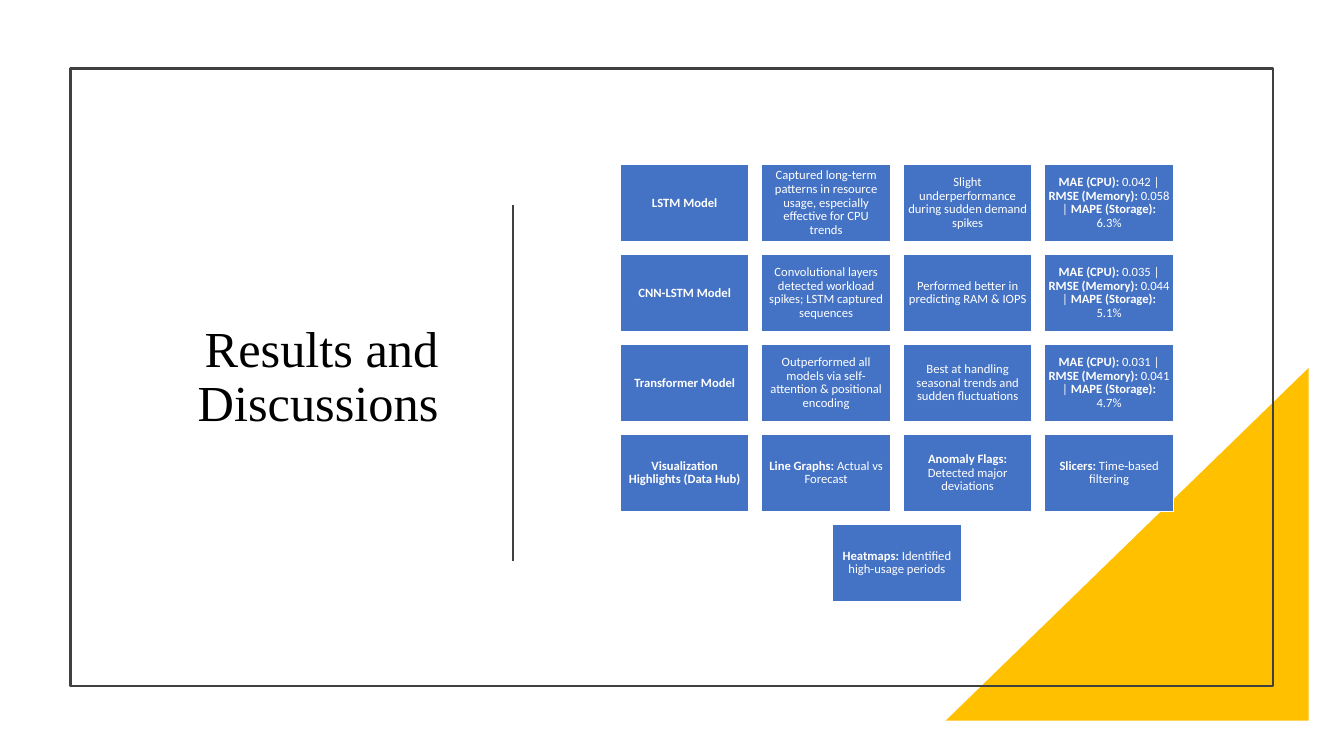
from lxml import etree
from pptx import Presentation
from pptx.dml.color import RGBColor
from pptx.enum.shapes import MSO_CONNECTOR, MSO_SHAPE
from pptx.enum.text import MSO_ANCHOR, MSO_AUTO_SIZE, PP_ALIGN
from pptx.oxml.ns import qn
from pptx.util import Inches, Pt

RECTANGLE = MSO_SHAPE.RECTANGLE
RIGHT_TRIANGLE = MSO_SHAPE.RIGHT_TRIANGLE
STRAIGHT = MSO_CONNECTOR.STRAIGHT
MIDDLE = MSO_ANCHOR.MIDDLE
CENTER = PP_ALIGN.CENTER
RIGHT = PP_ALIGN.RIGHT
NO_FIT = MSO_AUTO_SIZE.NONE

BLUE, GOLD, GRAY, WHITE, BLACK = "4472C4", "FFC000", "404040", "FFFFFF", "000000"

CARD_WIDTH, CARD_HEIGHT = 1.28, 0.77
FIRST_LEFT, LAST_LEFT = 6.15, 10.36
FIRST_TOP, LAST_TOP = 1.63, 5.2
COLUMNS = 4

METRICS = "**MAE (CPU):** {} | **RMSE (Memory):** {} | **MAPE (Storage):** {}"
CARD_ROWS = [
    ["**LSTM Model**",
     "Captured long-term patterns in resource usage, especially effective for CPU trends",
     "Slight underperformance during sudden demand spikes",
     METRICS.format("0.042", "0.058", "6.3%")],
    ["**CNN-LSTM Model**",
     "Convolutional layers detected workload spikes; LSTM captured sequences",
     "Performed better in predicting RAM & IOPS",
     METRICS.format("0.035", "0.044", "5.1%")],
    ["**Transformer Model**",
     "Outperformed all models via self-attention & positional encoding",
     "Best at handling seasonal trends and sudden fluctuations",
     METRICS.format("0.031", "0.041", "4.7%")],
    ["**Visualization Highlights (Data Hub)**",
     "**Line Graphs:** Actual vs Forecast",
     "**Anomaly Flags:** Detected major deviations",
     "**Slicers:** Time-based filtering"],
    ["**Heatmaps:** Identified high-usage periods"],
]


def color(value):
    return RGBColor.from_string(value)


def set_attributes(target, values):
    for name, value in values.items():
        setattr(target, name, value)


def set_line(line, value, width):
    line.color.rgb = color(value)
    line.width = Pt(width)


def add_box(slide, kind, left, top, width, height, fill=None, line=None, line_width=1):
    shape = slide.shapes.add_shape(
        kind, Inches(left), Inches(top), Inches(width), Inches(height))
    shape.shadow.inherit = False
    if fill:
        shape.fill.solid()
        shape.fill.fore_color.rgb = color(fill)
    else:
        shape.fill.background()
    if line:
        set_line(shape.line, line, line_width)
    else:
        shape.line.fill.background()
    return shape


def add_runs(paragraph, text, font_values, font_color):
    for index, part in enumerate(text.split("**")):
        if part:
            run = paragraph.add_run()
            run.text = part
            set_attributes(run.font, {**font_values, "bold": index % 2 == 1})
            run.font.color.rgb = color(font_color)


def add_card(slide, left, top, text):
    card = add_box(slide, RECTANGLE, left, top, CARD_WIDTH, CARD_HEIGHT, BLUE, WHITE)
    margin = Inches(0.04)
    set_attributes(card.text_frame, {
        "word_wrap": True, "vertical_anchor": MIDDLE,
        "margin_left": margin, "margin_right": margin,
        "margin_top": margin, "margin_bottom": margin})
    paragraph = card.text_frame.paragraphs[0]
    set_attributes(paragraph, {"alignment": CENTER, "line_spacing": 0.9})
    add_runs(paragraph, text, {"name": "Calibri", "size": Pt(9)}, WHITE)


def add_card_grid(slide):
    column_step = (LAST_LEFT - FIRST_LEFT) / (COLUMNS - 1)
    row_step = (LAST_TOP - FIRST_TOP) / (len(CARD_ROWS) - 1)
    for row, texts in enumerate(CARD_ROWS):
        row_left = FIRST_LEFT + (COLUMNS - len(texts)) / 2 * column_step
        for column, text in enumerate(texts):
            add_card(slide, row_left + column * column_step,
                     FIRST_TOP + row * row_step, text)


def add_divider(slide, x, top, bottom):
    divider = slide.shapes.add_connector(
        STRAIGHT, Inches(x), Inches(top), Inches(x), Inches(bottom))
    set_line(divider.line, GRAY, 1.5)
    etree.SubElement(divider._element.spPr, qn("a:effectLst"))


def format_title(slide, text):
    title = slide.shapes.title
    set_attributes(title, {"left": Inches(1.18), "top": Inches(1.3),
                           "width": Inches(3.27), "height": Inches(4.9)})
    set_attributes(title.text_frame, {
        "word_wrap": True, "auto_size": NO_FIT, "vertical_anchor": MIDDLE})
    paragraph = title.text_frame.paragraphs[0]
    set_attributes(paragraph, {"alignment": RIGHT, "line_spacing": 0.9})
    add_runs(paragraph, text, {"name": "Times New Roman", "size": Pt(36)}, BLACK)


def main():
    presentation = Presentation()
    presentation.slide_width = Inches(13.33)
    presentation.slide_height = Inches(7.5)
    slide = presentation.slides.add_slide(presentation.slide_layouts[5])

    corner = add_box(slide, RIGHT_TRIANGLE, 9.38, 3.65, 3.6, 3.5, fill=GOLD)
    corner._element.spPr.xfrm.set("flipH", "1")
    add_box(slide, RECTANGLE, 0.7, 0.68, 11.93, 6.13, line=GRAY, line_width=1.5)
    format_title(slide, "Results and Discussions")
    add_divider(slide, 5.09, 2.03, 5.57)
    add_card_grid(slide)

    presentation.save("out.pptx")


if __name__ == "__main__":
    main()
